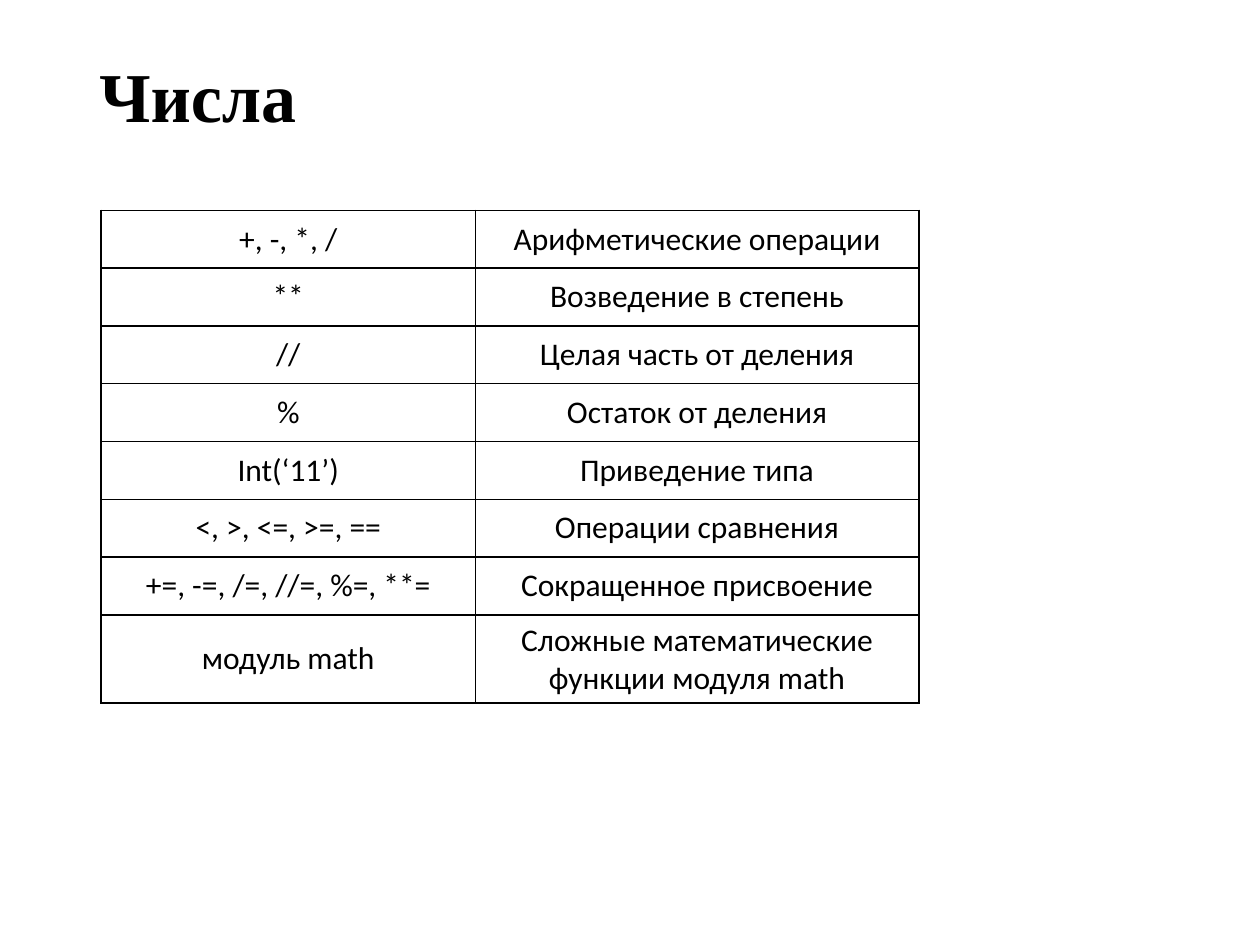
import pptx
import pptx.dml.color
import pptx.enum.text
import pptx.oxml.ns
import pptx.util
from lxml import etree

Pt = pptx.util.Pt
ALIGN = pptx.enum.text.PP_ALIGN
MIDDLE = pptx.enum.text.MSO_ANCHOR.MIDDLE
INK = "000000"

ROWS = [
    ("+, -, *, /", "Арифметические операции"),
    ("**", "Возведение в степень"),
    ("//", "Целая часть от деления"),
    ("%", "Остаток от деления"),
    ("Int(‘11’)", "Приведение типа"),
    ("<, >, <=, >=, ==", "Операции сравнения"),
    ("+=, -=, /=, //=, %=, **=", "Сокращенное присвоение"),
    ("модуль math", "Сложные математические функции модуля math"),
]
WIDTHS = (213.84, 253.44)
HEIGHT = 33.05
LAST = 50.4  # the last row holds two lines


def paint(color, value):
    color.rgb = pptx.dml.color.RGBColor.from_string(value)


def style(para, face, size, bold=False):
    font = para.font
    font.name, font.size, font.bold = face, Pt(size), bold
    paint(font.color, INK)


def add_title(slide, text):
    box = slide.shapes.add_textbox(Pt(49.7), Pt(28.8), Pt(620.6), Pt(56.2))
    frame = box.text_frame
    frame.word_wrap = True
    frame.vertical_anchor = MIDDLE
    para = frame.paragraphs[0]
    para.text = text
    para.line_spacing = 0.9
    style(para, "Times New Roman", 40, True)


def add_edges(cell, width):
    props = cell._tc.get_or_add_tcPr()
    tag = pptx.oxml.ns.qn
    for side in ("a:lnL", "a:lnR", "a:lnT", "a:lnB"):
        line = etree.SubElement(props, tag(side), w=str(Pt(width)))
        fill = etree.SubElement(line, tag("a:solidFill"))
        etree.SubElement(fill, tag("a:srgbClr"), val=INK)


def fill_cell(cell, text):
    add_edges(cell, 1)
    cell.fill.background()
    cell.vertical_anchor = MIDDLE
    para = cell.text_frame.paragraphs[0]
    para.text = text
    para.alignment = ALIGN.CENTER
    style(para, "Calibri", 18)


def add_grid(slide, rows):
    high = HEIGHT * (len(rows) - 1) + LAST
    table = slide.shapes.add_table(
        len(rows), len(WIDTHS), Pt(57.8), Pt(120.2), Pt(sum(WIDTHS)), Pt(high)
    ).table
    table.first_row = table.horz_banding = False
    for col, width in zip(table.columns, WIDTHS):
        col.width = Pt(width)
    for row, texts in zip(table.rows, rows):
        row.height = Pt(HEIGHT)
        for cell, text in zip(row.cells, texts):
            fill_cell(cell, text)
    table.rows[len(rows) - 1].height = Pt(LAST)


def main():
    deck = pptx.Presentation()
    deck.slide_width, deck.slide_height = Pt(720), Pt(540)
    slide = deck.slides.add_slide(deck.slide_layouts[6])

    # Heading
    add_title(slide, "Числа")

    # Operators and their meanings
    add_grid(slide, ROWS)

    deck.save("out.pptx")


if __name__ == "__main__":
    main()
